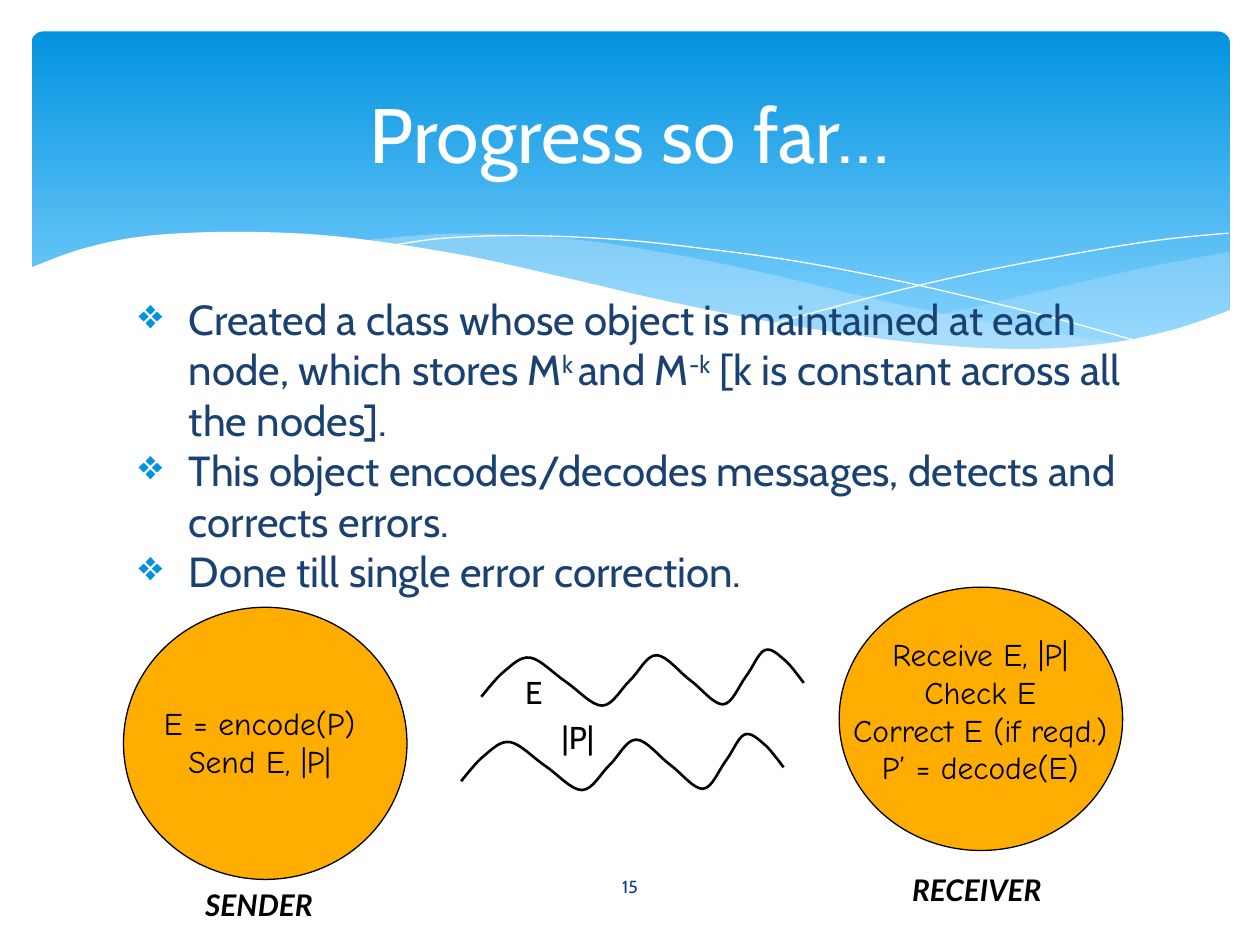
from dataclasses import dataclass

from lxml.etree import SubElement
from pptx import Presentation
from pptx.dml.color import RGBColor
from pptx.enum.shapes import MSO_SHAPE as Shape
from pptx.enum.text import MSO_ANCHOR as Anchor, PP_ALIGN as Align
from pptx.oxml import parse_xml
from pptx.oxml.ns import nsdecls, qn
from pptx.util import Inches, Pt


@dataclass(frozen=True)
class Theme:
    """Colours, fonts and type sizes of the slide."""
    sky: str = "0293E0"
    sky_light: str = "81D2FE"
    mist: str = "C6E7FC"
    white: str = "FFFFFF"
    black: str = "000000"
    body: str = "1A4171"
    number: str = "073E87"
    amber: str = "FFAD00"
    font: str = "Cabin"
    hand: str = "Comic Neue"
    caption: str = "Lato"
    title_pt: int = 44
    body_pt: int = 24
    label_pt: int = 18
    caption_pt: int = 17
    number_pt: int = 10


T = Theme()

HILL = [(0.23, 2.13), (0.67, 1.97), (1.19, 1.87), (1.93, 1.84), (2.71, 1.88),
        (3.65, 2.02), (4.47, 2.2), (5.29, 2.39), (6.26, 2.58), (7.26, 2.72),
        (8.09, 2.77), (8.75, 2.73), (9.3, 2.62), (9.77, 2.46)]
HILL_BASE = [(9.77, 3.29), (0.23, 3.29)]
RIGHT_TOP = [(9.76, 2), (9.06, 2.13), (8.32, 2.3), (7.53, 2.48), (6.61, 2.65)]
RIGHT_BOTTOM = [(6.61, 2.65), (7.19, 2.72), (7.81, 2.77), (8.35, 2.77),
                (8.89, 2.72), (9.35, 2.62), (9.76, 2.47)]
LONG_TOP = [(8.93, 2.73), (8.07, 2.6), (7.06, 2.4), (6.13, 2.18), (5.41, 2.03),
            (4.65, 1.91), (3.99, 1.86), (3.44, 1.86), (2.86, 1.91)]
LONG_BOTTOM = [(2.86, 1.91), (3.62, 2.03), (4.49, 2.22), (5.3, 2.4), (6.18, 2.58),
               (6.95, 2.7), (7.61, 2.77), (8.18, 2.78), (8.57, 2.77), (8.93, 2.73)]
FALLING = [(3.09, 1.95), (3.53, 1.89), (4.16, 1.87), (4.89, 1.9), (5.56, 1.97),
           (6.36, 2.08), (7.27, 2.26), (8.31, 2.51), (9.07, 2.72)]
RISING = [(6.13, 2.57), (6.95, 2.35), (7.76, 2.16), (8.66, 1.99), (9.24, 1.9), (9.75, 1.85)]
SIGNAL = [(3.82, 5.53), (4, 5.33), (4.21, 5.22), (4.49, 5.41), (4.78, 5.6),
          (5, 5.4), (5.21, 5.2), (5.48, 5.4), (5.74, 5.59), (5.92, 5.37),
          (6.07, 5.16), (6.23, 5.24), (6.38, 5.42)]

BULLETS = [
    [("Created a class whose object is maintained at each node, which stores M", 0),
     ("k ", 30), ("and M", 0), ("-k", 30),
     (" [k is constant across all the nodes].", 0)],
    [("This object encodes/decodes messages, detects and corrects errors.", 0)],
    [("Done till single error correction.", 0)],
]


def rgb(color):
    """Turn a hex string into a colour."""
    return RGBColor.from_string(color)


def smooth(points, steps=8):
    """Sample a Catmull-Rom curve through the points."""
    padded = [points[0], *points, points[-1]]
    curve = [points[0]]
    for a, b, c, d in zip(padded, padded[1:], padded[2:], padded[3:]):
        for i in range(1, steps + 1):
            t = i / steps
            curve.append(tuple(
                (2 * q + (r - p) * t + (2 * p - 5 * q + 4 * r - s) * t ** 2
                 + (3 * q - p - 3 * r + s) * t ** 3) / 2
                for p, q, r, s in zip(a, b, c, d)))
    return curve


def add_path(s, points, close=False):
    """Add a freeform through points given in inches."""
    emu = [(Inches(x), Inches(y)) for x, y in points]
    builder = s.shapes.build_freeform(*emu[0])
    builder.add_line_segments(emu[1:], close=close)
    sp = builder.convert_to_shape()
    sp.shadow.inherit = False
    return sp


def add_area(s, points, color, opacity=100):
    """Add a filled outline without a border."""
    sp = add_path(s, points, close=True)
    sp.fill.solid()
    sp.fill.fore_color.rgb = rgb(color)
    sp.line.fill.background()
    if opacity < 100:
        clr = sp.fill._xPr.find(qn("a:solidFill")).find(qn("a:srgbClr"))
        SubElement(clr, qn("a:alpha"), val=str(opacity * 1000))


def add_curve(s, points, color, width):
    """Add an open smooth line."""
    sp = add_path(s, smooth(points))
    sp.fill.background()
    sp.line.color.rgb = rgb(color)
    sp.line.width = Pt(width)


def add_banner(s):
    """Add the gradient panel and its waves."""
    sp = s.shapes.add_shape(Shape.ROUNDED_RECTANGLE, Inches(0.25), Inches(0.25),
                            Inches(9.51), Inches(2.7))
    sp.adjustments[0] = 0.034
    sp.shadow.inherit = False
    sp.line.fill.background()
    sp.fill.gradient()
    sp.fill.gradient_angle = 270
    for stop, color, position in zip(sp.fill.gradient_stops, (T.sky, T.sky_light), (0, 0.9)):
        stop.color.rgb = rgb(color)
        stop.position = position
    add_area(s, smooth(RIGHT_TOP) + smooth(RIGHT_BOTTOM), T.mist, 29)
    add_area(s, smooth(LONG_TOP) + smooth(LONG_BOTTOM), T.mist, 40)
    for line in (FALLING, RISING):
        add_curve(s, line, T.white, 0.75)
    add_area(s, smooth(HILL) + HILL_BASE, T.white)


def style_run(r, font, size, color, bold=None):
    """Set the look of a run; captions are bold and italic."""
    r.font.name, r.font.size = font, Pt(size)
    r.font.color.rgb = rgb(color)
    r.font.bold = r.font.italic = bold


def add_frame(s, box, inset, anchor=Anchor.TOP, wrap=True):
    """Add an empty text box and return its text frame."""
    tf = s.shapes.add_textbox(*map(Inches, box)).text_frame
    tf.word_wrap = wrap
    tf.vertical_anchor = anchor
    tf.margin_left = tf.margin_right = tf.margin_top = tf.margin_bottom = Inches(inset)
    return tf


def add_text(s, box, text, font, size, color, align=Align.LEFT, bold=None, **frame):
    """Add a text box with one style throughout."""
    tf = add_frame(s, box, **{"inset": 0.1, **frame})
    tf.text = text
    for p in tf.paragraphs:
        p.alignment = align
        for r in p.runs:
            style_run(r, font, size, color, bold)
    return tf


def add_title(s, text):
    """Add the centred title with a soft text shadow."""
    tf = add_text(s, (0.5, 0.37, 9, 1.37), text, T.font, T.title_pt, T.white,
                  Align.CENTER, inset=0.05, anchor=Anchor.MIDDLE)
    fill = tf.paragraphs[0].runs[0]._r.rPr.find(qn("a:solidFill"))
    fill.addnext(parse_xml(
        f'<a:effectLst {nsdecls("a")}><a:outerShdw blurRad="50800" dist="38100" dir="2700000">'
        f'<a:srgbClr val="{T.black}"><a:alpha val="50000"/></a:srgbClr>'
        '</a:outerShdw></a:effectLst>'))


def add_bullets(s, items):
    """Add the bulleted body with superscripts."""
    tf = add_frame(s, (0.95, 2.28, 8.1, 4.9), 0.05)
    for i, item in enumerate(items):
        p = tf.add_paragraph() if i else tf.paragraphs[0]
        p.space_before = Pt(0 if i else 3)
        pPr = p._p.get_or_add_pPr()
        pPr.set("marL", str(Inches(0.5)))
        pPr.set("indent", str(Inches(-0.4)))
        SubElement(SubElement(pPr, qn("a:buClr")), qn("a:srgbClr"), val=T.sky)
        SubElement(pPr, qn("a:buChar"), char="❖")
        for text, raised in item:
            r = p.add_run()
            r.text = text
            style_run(r, T.font, T.body_pt, T.body)
            if raised:
                r._r.rPr.set("baseline", str(raised * 1000))


def add_node(s, box):
    """Add an amber ellipse for one end of the channel."""
    sp = s.shapes.add_shape(Shape.OVAL, *map(Inches, box))
    sp.shadow.inherit = False
    sp.fill.solid()
    sp.fill.fore_color.rgb = rgb(T.amber)
    sp.line.color.rgb = rgb(T.black)
    sp.line.width = Pt(0.75)


def main():
    """Build the slide and save it."""
    prs = Presentation()
    prs.slide_width, prs.slide_height = Inches(10), Inches(7.5)
    s = prs.slides.add_slide(prs.slide_layouts[6])
    add_banner(s)
    add_text(s, (4.87, 6.91, 0.26, 0.25), "15", T.font, T.number_pt, T.number,
             Align.CENTER, inset=0.05, anchor=Anchor.MIDDLE, wrap=False)
    add_title(s, "Progress so far…")
    add_bullets(s, BULLETS)
    for box in ((0.98, 4.82, 2.25, 2.16), (6.66, 4.66, 2.25, 2.09)):
        add_node(s, box)
    for box, text in (((1.05, 5.49, 2.02, 0.89), "E = encode(P)\nSend E, |P|"),
                      ((6.6, 4.94, 2.36, 1.94),
                       "Receive E, |P|\nCheck E\nCorrect E (if reqd.)\nP’ = decode(E)")):
        add_text(s, box, text, T.hand, T.label_pt, T.black, Align.CENTER)
    for dx, dy in ((0, 0), (-0.16, 0.67)):
        add_curve(s, [(x + dx, y + dy) for x, y in SIGNAL], T.black, 1.5)
    for box, text in (((4.36, 5.6, 0.66, 0.49), "|P|"), ((4.07, 5.24, 0.48, 0.49), "E")):
        add_text(s, box, text, T.font, T.label_pt, T.black)
    for box, text in (((1.53, 6.94, 1.33, 0.48), "SENDER"),
                      ((7.14, 6.82, 1.47, 0.48), "RECEIVER")):
        add_text(s, box, text, T.caption, T.caption_pt, T.black, bold=True)
    prs.save("out.pptx")


if __name__ == "__main__":
    main()
